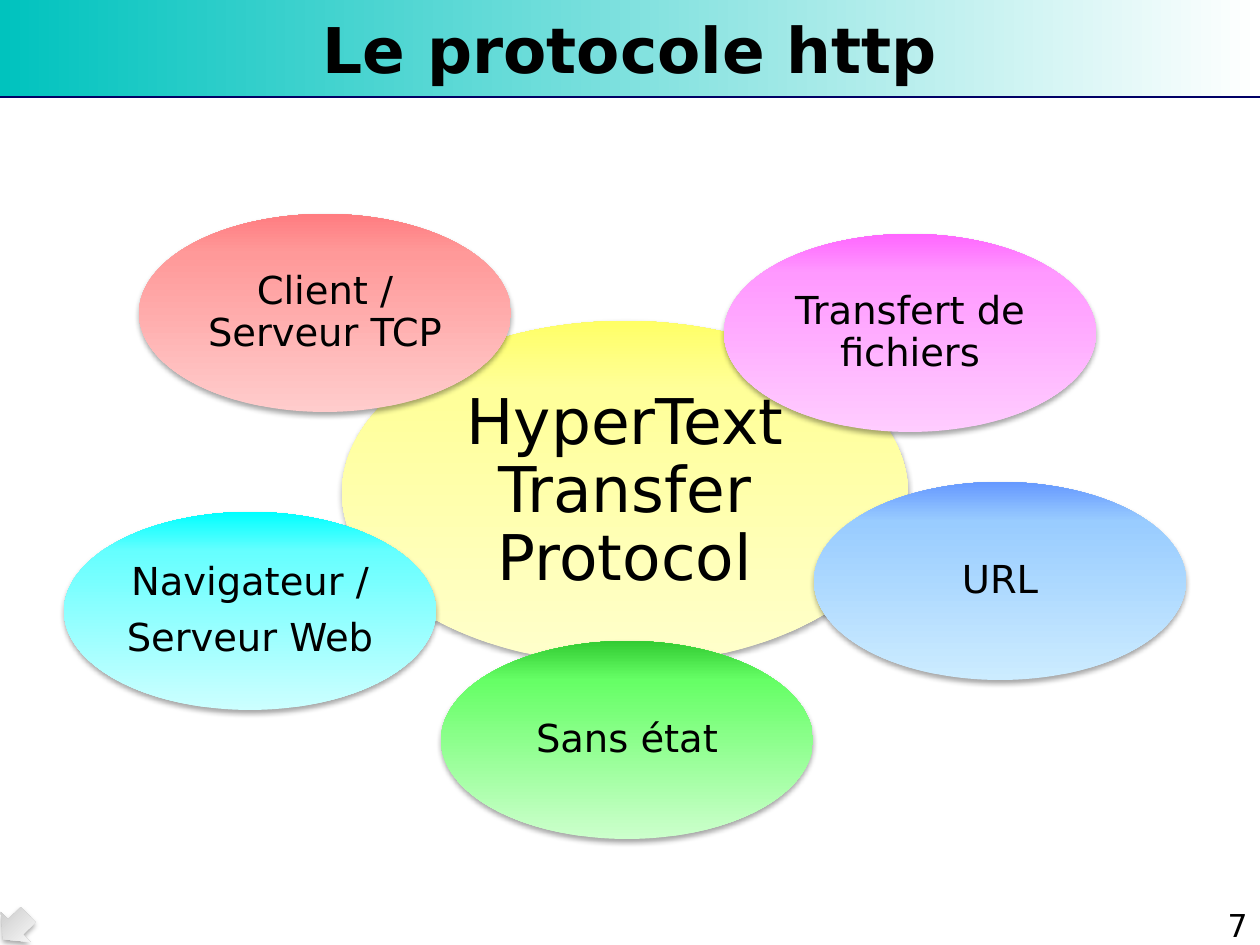
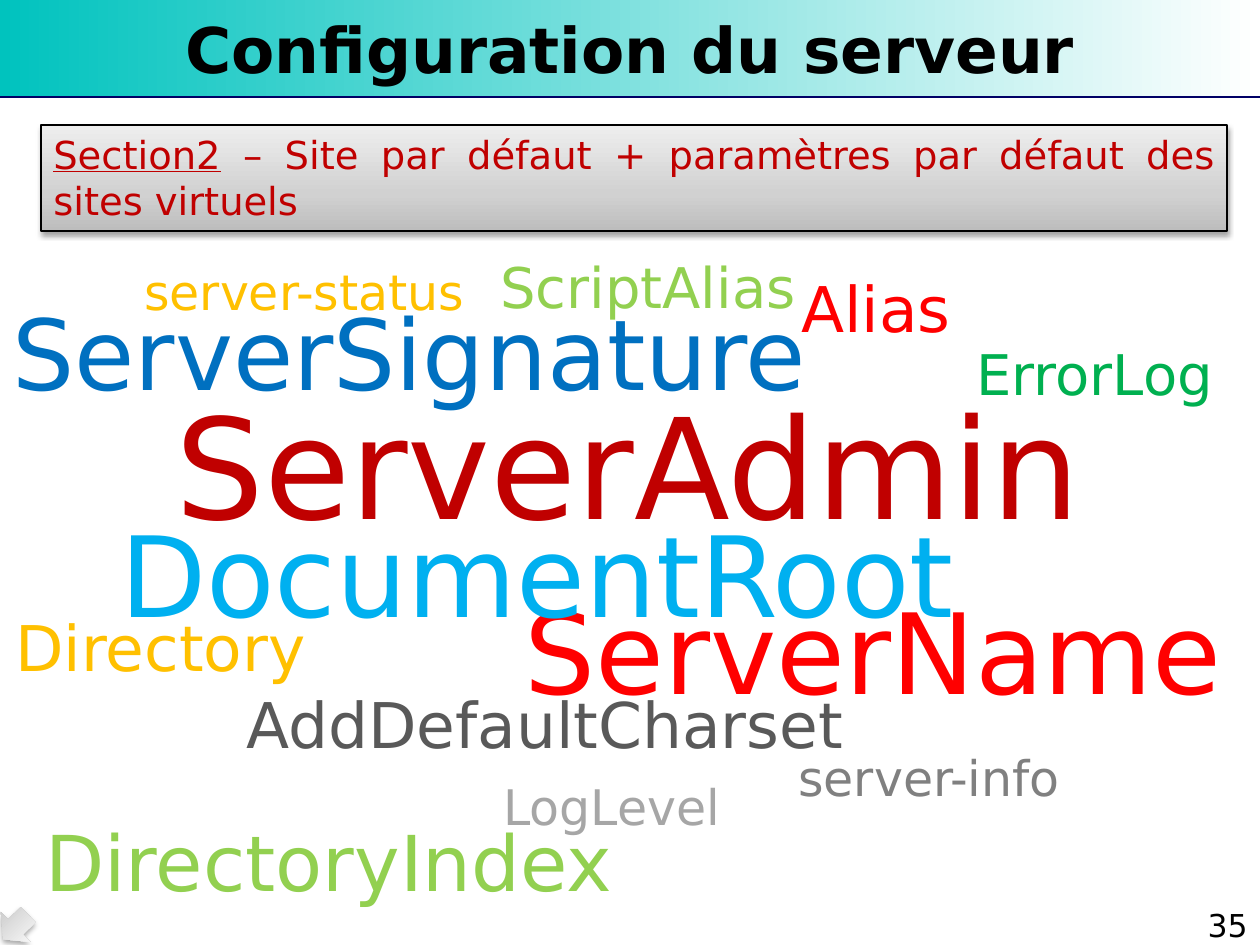
from lxml import etree
from pptx import Presentation, util as u
from pptx.dml.color import RGBColor
from pptx.enum import shapes, text
from pptx.oxml.ns import qn

PX = 914400 / 126
WIDTH, HEIGHT = 1260, 945
FONT = "DejaVu Sans"
COLORS = {
    "black": "000000", "rule": "000066", "crimson": "C00000", "red": "FF0000",
    "blue": "0070C0", "sky": "00B0F0", "lime": "92D050", "amber": "FFC000",
    "green": "00B050", "silver": "A6A6A6", "gray": "808080", "dark": "595959",
}
GRADIENTS = {
    "band": [(0, "00C3BE"), (100, "FFFFFF")],
    "arrow": [(0, "BEBEBE"), (80, "F7F7F7"), (100, "F8F8F8")],
    "box": [(0, "BDBDBD"), (35, "D1D1D1"), (100, "EEEEEE")],
    "yellow": [(0, "FFFFCC"), (80, "FFFF99"), (100, "FFFF66")],
    "red": [(0, "FFCCCC"), (80, "FF9999"), (100, "FF7C80")],
    "pink": [(0, "FFCCFF"), (80, "FF99FF"), (100, "FF66FF")],
    "blue": [(0, "CCECFF"), (80, "99CCFF"), (100, "6699FF")],
    "cyan": [(0, "CCFFFF"), (80, "66FFFF"), (100, "00FFFF")],
    "green": [(0, "CCFFCC"), (80, "66FF66"), (100, "33CC33")],
}
SATELLITES = [
    (139, 214, "red", ["Client / Serveur TCP"]),
    (724, 234, "pink", ["Transfert de fichiers"]),
    (814, 482, "blue", ["URL"]),
    (64, 512, "cyan", ["Navigateur /", "Serveur Web"]),
    (441, 641, "green", ["Sans état"]),
]
WORDS = [
    ("ServerName", 512, 576, 731, 64, "red"),
    ("ServerSignature", 0, 286, 834, 56, "blue"),
    ("DocumentRoot", 108, 499, 863, 64, "sky"),
    ("ScriptAlias", 488, 246, 324, 32, "lime"),
    ("Directory", 3, 602, 319, 36, "amber"),
    ("Alias", 789, 263, 175, 36, "red"),
    ("ErrorLog", 964, 333, 268, 32, "green"),
    ("LogLevel", 491, 770, 243, 28, "silver"),
    ("AddDefaultCharset", 234, 679, 624, 36, "dark"),
    ("server-status", 132, 255, 355, 28, "amber"),
    ("server-info", 786, 741, 296, 28, "gray"),
    ("DirectoryIndex", 33, 808, 606, 44, "lime"),
]


def px(*values):
    """Turn px lengths into a list of EMU lengths."""
    return [u.Emu(round(v * PX)) for v in values]


def rgb(name):
    """Look up a named colour."""
    return RGBColor.from_string(COLORS[name])


def style(p, size, color="black", align=text.PP_ALIGN.LEFT, bold=False):
    """Set the font and alignment of a whole paragraph."""
    p.alignment = align
    p.font.name, p.font.size, p.font.bold = FONT, u.Pt(size), bold
    p.font.color.rgb = rgb(color)


def add_gradient(sp, name, angle):
    """Fill a shape with a named linear gradient."""
    sp.fill.gradient()
    sp.fill.gradient_angle = angle
    stops = sp._element.spPr.find(".//" + qn("a:gsLst"))
    for old in list(stops):
        stops.remove(old)
    for pos, color in GRADIENTS[name]:
        gs = etree.SubElement(stops, qn("a:gs"), pos=str(pos * 1000))
        etree.SubElement(gs, qn("a:srgbClr"), val=color)


def add_shadow(sp):
    """Drop a soft shadow just below a shape."""
    effects = sp._element.spPr.find(qn("a:effectLst"))
    shadow = etree.SubElement(effects, qn("a:outerShdw"), blurRad="40000",
                              dist="23000", dir="5400000", rotWithShape="0")
    color = etree.SubElement(shadow, qn("a:srgbClr"), val=COLORS["black"])
    etree.SubElement(color, qn("a:alpha"), val="35000")


def add_filled(s, kind, box, gradient, angle=90, shadow=True):
    """Add a borderless preset shape with a gradient fill."""
    sp = s.shapes.add_shape(kind, *px(*box))
    sp.shadow.inherit = False
    sp.line.fill.background()
    add_gradient(sp, gradient, angle)
    if shadow:
        add_shadow(sp)
    return sp


def add_text(s, content, box, size, color="black", wrap=True, **look):
    """Add a one-paragraph text box and return its frame."""
    tf = s.shapes.add_textbox(*px(*box)).text_frame
    tf.word_wrap = wrap
    tf.auto_size = text.MSO_AUTO_SIZE.SHAPE_TO_FIT_TEXT
    tf.text = content
    style(tf.paragraphs[0], size, color, **look)
    return tf


def add_word(s, word, left, top, width, size, color, **look):
    """Add one unwrapped word of the cloud, as tall as its type size needs."""
    height = round(2.12 * size + 13)
    add_text(s, word, (left, top, width, height), size, color, **look)


def add_bubble(s, box, gradient, lines, size):
    """Add a shaded ellipse with centred lines of text."""
    sp = add_filled(s, shapes.MSO_SHAPE.OVAL, box, gradient)
    tf = sp.text_frame
    tf.word_wrap = True
    tf.vertical_anchor = text.MSO_ANCHOR.MIDDLE
    tf.margin_left = tf.margin_right = tf.margin_top = tf.margin_bottom = 0
    tf.text = "\n".join(lines)
    for p in tf.paragraphs:
        style(p, size, align=text.PP_ALIGN.CENTER)
        p.line_spacing = 0.9
        p.space_after = u.Pt(round(size * 0.35))


def add_section(s, label, rest):
    """Add the bordered section box with its underlined label."""
    sp = add_filled(s, shapes.MSO_SHAPE.RECTANGLE, (41, 125, 1186, 106), "box")
    sp.line.color.rgb = rgb("black")
    sp.line.width = u.Pt(0.75)
    tf = sp.text_frame
    tf.word_wrap = True
    tf.vertical_anchor = text.MSO_ANCHOR.TOP
    p = tf.paragraphs[0]
    style(p, 22, "crimson", text.PP_ALIGN.JUSTIFY)
    for part, underlined in ((label, True), (rest, False)):
        r = p.add_run()
        r.text = part
        r.font.underline = underlined


def add_slide(prs, title, number):
    """Add a slide with the title band, rule, page number and corner arrow."""
    s = prs.slides.add_slide(prs.slide_layouts[6])
    add_filled(s, shapes.MSO_SHAPE.RECTANGLE, (0, 0, WIDTH, 97), "band", 0, False)
    rule = s.shapes.add_connector(shapes.MSO_CONNECTOR.STRAIGHT, *px(0, 97, WIDTH, 97))
    rule.line.color.rgb = rgb("rule")
    rule.line.width = u.Pt(0.75)
    etree.SubElement(rule._element.spPr, qn("a:effectLst"))
    tf = add_text(s, title, (0, 0, WIDTH, 96), 36, align=text.PP_ALIGN.CENTER, bold=True)
    tf.vertical_anchor = text.MSO_ANCHOR.MIDDLE
    add_text(s, str(number), (1176, 900, 84, 50), 18, align=text.PP_ALIGN.RIGHT)
    arrow = add_filled(s, shapes.MSO_SHAPE.RIGHT_ARROW, (-2, 906, 35, 42), "arrow")
    arrow.rotation = 135.5
    return s


def main():
    """Build both slides and save the deck."""
    prs = Presentation()
    prs.slide_width, prs.slide_height = px(WIDTH, HEIGHT)

    s = add_slide(prs, "Le protocole http", 7)
    add_bubble(s, (342, 321, 566, 343), "yellow", ["HyperText Transfer Protocol"], 36)
    for left, top, gradient, lines in SATELLITES:
        add_bubble(s, (left, top, 372, 198), gradient, lines, 22)

    s = add_slide(prs, "Configuration du serveur", 35)
    add_word(s, "ServerAdmin", 0, 373, 1257, 80, "crimson", align=text.PP_ALIGN.CENTER)
    for word in WORDS:
        add_word(s, *word, wrap=False)
    add_section(s, "Section2", " – Site par défaut + paramètres par défaut des sites virtuels")

    prs.save("out.pptx")


if __name__ == "__main__":
    main()
